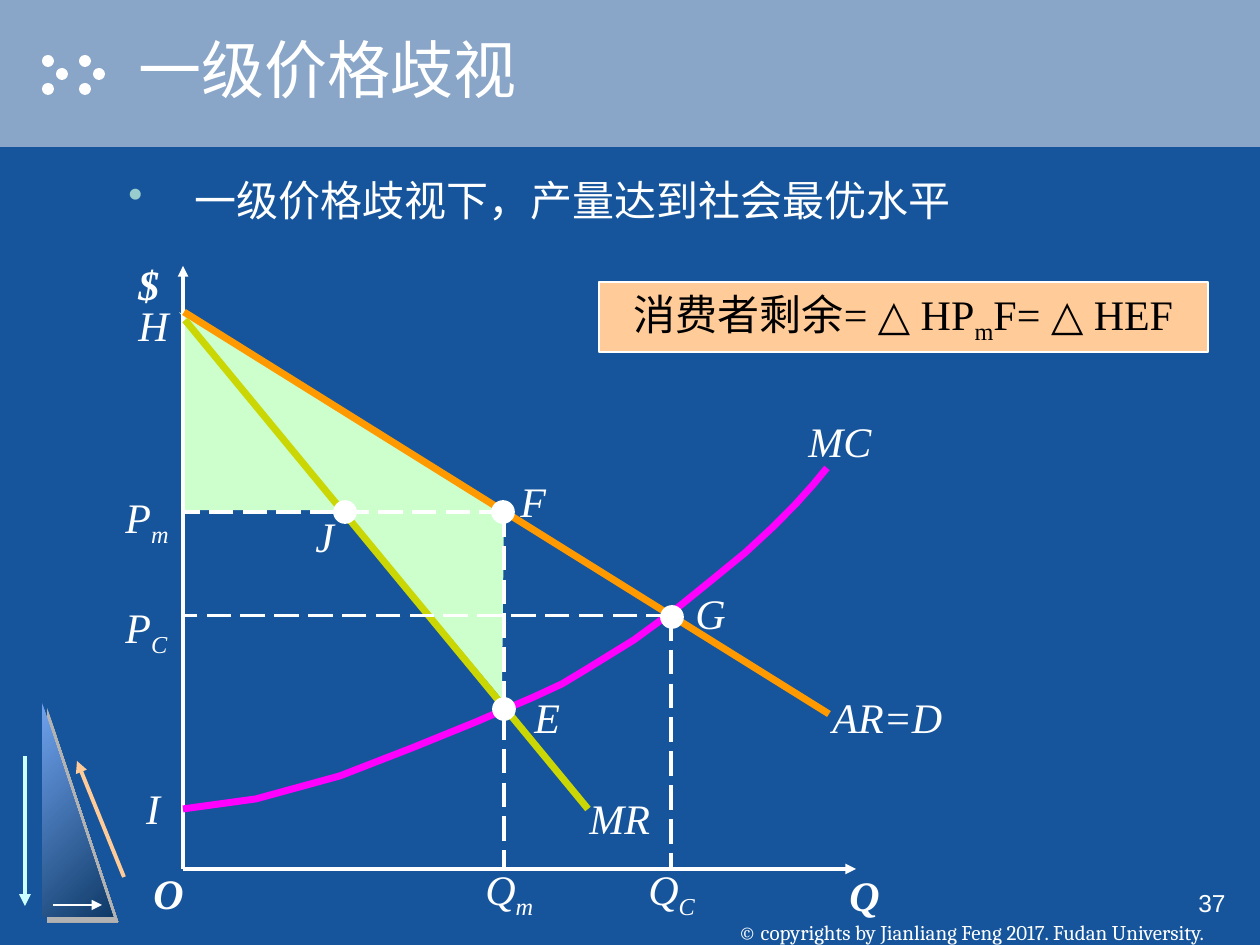
from lxml import etree
from pptx import Presentation
from pptx.dml.color import RGBColor
from pptx.enum.dml import MSO_LINE
from pptx.enum.shapes import MSO_CONNECTOR, MSO_SHAPE
from pptx.enum.text import MSO_ANCHOR, PP_ALIGN
from pptx.oxml.ns import qn
from pptx.util import Emu, Pt

STRAIGHT = MSO_CONNECTOR.STRAIGHT
RECT, OVAL, TRIANGLE = MSO_SHAPE.RECTANGLE, MSO_SHAPE.OVAL, MSO_SHAPE.RIGHT_TRIANGLE
LONG_DASH = MSO_LINE.LONG_DASH
TOP, MIDDLE, BOTTOM = MSO_ANCHOR.TOP, MSO_ANCHOR.MIDDLE, MSO_ANCHOR.BOTTOM
LEFT, CENTER, RIGHT = PP_ALIGN.LEFT, PP_ALIGN.CENTER, PP_ALIGN.RIGHT
SCALE = 914400 / 126
SERIF = "Times New Roman"
WHITE, SURPLUS, PEACH = "FFFFFF", "CCFFCC", "FFCC99"


def px(n):
    """Turn pixels into EMU."""
    return Emu(round(n * SCALE))


def rgb(value):
    """Turn a hex string into a colour."""
    return RGBColor.from_string(value)


def add_shadow(parent, color, dist):
    """Give shape or run properties an offset shadow."""
    effects = etree.SubElement(parent, qn("a:effectLst"))
    shadow = etree.SubElement(effects, qn("a:outerShdw"), dist=str(Pt(dist)), dir="2700000")
    etree.SubElement(shadow, qn("a:srgbClr"), val=color)


def style_shape(sp, fill, line=None):
    """Set a flat fill and an optional thin outline."""
    sp.shadow.inherit = False
    sp.fill.solid()
    sp.fill.fore_color.rgb = rgb(fill)
    if line:
        sp.line.color.rgb = rgb(line)
        sp.line.width = Pt(1)
    else:
        sp.line.fill.background()


def add_shape(s, kind, x, y, w, h, fill, line=None):
    """Add a flat preset shape."""
    sp = s.shapes.add_shape(kind, px(x), px(y), px(w), px(h))
    style_shape(sp, fill, line)
    return sp


def add_line(s, x1, y1, x2, y2, color, width, dash=None, arrow=False):
    """Add a straight line, dashed or with an arrowhead on request."""
    line = s.shapes.add_connector(STRAIGHT, px(x1), px(y1), px(x2), px(y2))
    line.line.color.rgb = rgb(color)
    line.line.width = Pt(width)
    if dash:
        line.line.dash_style = dash
    if arrow:
        etree.SubElement(line.line._get_or_add_ln(), qn("a:tailEnd"), type="triangle")
    etree.SubElement(line._element.spPr, qn("a:effectLst"))


def add_freeform(s, points):
    """Add an outline through points, closed when it returns to its start."""
    closed = points[0] == points[-1]
    builder = s.shapes.build_freeform(*points[0], scale=SCALE)
    builder.add_line_segments(points[1:], close=closed)
    sp = builder.convert_to_shape()
    sp.shadow.inherit = False
    return sp


def write_runs(p, parts, size, color, font, bold=False, italic=False):
    """Write runs in which every second part is a subscript."""
    for i, part in enumerate(parts):
        r = p.add_run()
        r.text = part
        r.font.size, r.font.bold, r.font.italic = Pt(size), bold, italic
        r.font.color.rgb = rgb(color)
        r.font.name = font
        if i % 2:
            r.font._element.set("baseline", "-25000")


def add_text(s, x, y, w, h, parts, size=24, font=SERIF, align=LEFT, anchor=TOP,
             bold=False, italic=False, wrap=False):
    """Add a white text box and return its paragraph."""
    tf = s.shapes.add_textbox(px(x), px(y), px(w), px(h)).text_frame
    tf.word_wrap, tf.vertical_anchor = wrap, anchor
    if anchor == BOTTOM:
        tf.margin_top = tf.margin_bottom = 0
    p = tf.paragraphs[0]
    p.alignment = align
    write_runs(p, parts, size, WHITE, font, bold, italic)
    return p


def add_header(s, x, y, w, h):
    """Draw the title band and its dots, with the title in front."""
    add_shape(s, RECT, x, y, w, h, "89A5C7")
    for left in (42, 79):
        for dx, dy in ((0, 55), (14, 68), (0, 83)):
            add_shape(s, OVAL, x + left + dx, y + dy, 12, 12, WHITE)
    title = s.shapes.title
    s.shapes._spTree.append(title._element)
    title.left, title.top, title.width, title.height = px(x + 126), px(y), px(w - 126), px(136)
    tf = title.text_frame
    tf.text = "一级价格歧视"
    tf.vertical_anchor = MIDDLE
    p = tf.paragraphs[0]
    p.alignment = LEFT
    font = p.runs[0].font
    font.size = Pt(36)
    font.color.rgb = rgb(WHITE)
    add_shadow(font._element, "000000", 1.5)
    font.name = "Arial"


def add_emblem(s, x, y):
    """Draw the shaded triangle with its three arrows."""
    sp = add_shape(s, TRIANGLE, x + 17, y, 71, 214, WHITE)
    sp.fill.gradient()
    sp.fill.gradient_angle = 315
    for stop, color, position in zip(sp.fill.gradient_stops, ("6FA2ED", "0F3A68"), (0, 1)):
        stop.color.rgb = rgb(color)
        stop.position = position
    sp._element.spPr.remove(sp._element.spPr.find(qn("a:effectLst")))
    add_shadow(sp._element.spPr, "B2B2B2", 4.2)
    add_line(s, x, y + 53, x, y + 203, "CCFFFF", 2.25, arrow=True)
    add_line(s, x + 99, y + 174, x + 52, y + 58, PEACH, 2.25, arrow=True)
    add_line(s, x + 28, y + 202, x + 77, y + 202, WHITE, 1.5, arrow=True)


def add_footer(s, x, y, w, h):
    """Write the copyright line and the slide number."""
    add_text(s, x, y, w, h, ["© copyrights by Jianliang Feng 2017. Fudan University."],
             12, "Cambria", CENTER, BOTTOM)
    add_text(s, x + 293, y, 262, h, ["37"], 14, "Arial", RIGHT, wrap=True)


def add_bullet(s, x, y, w, h):
    """Write the bulleted statement."""
    p = add_text(s, x, y, w, h, ["一级价格歧视下，产量达到社会最优水平"], wrap=True)
    pPr = p._p.get_or_add_pPr()
    pPr.set("marL", str(px(66)))
    pPr.set("indent", str(-px(66)))
    color = etree.SubElement(pPr, qn("a:buClr"))
    etree.SubElement(color, qn("a:srgbClr"), val="99CCCC")
    etree.SubElement(pPr, qn("a:buChar"), char="•")


def add_diagram(s, x, y, w, h):
    """Draw the price and quantity diagram, with axes along the box."""
    add_shape(s, TRIANGLE, x + 2, y + 49, 316, 195, SURPLUS)
    wedge = [(-4, 46), (319, 433), (321, 248), (-4, 46)]
    style_shape(add_freeform(s, [(x + a, y + b) for a, b in wedge]), SURPLUS)
    add_line(s, x, y + h, x, y, WHITE, 2, arrow=True)
    add_line(s, x, y + h, x + w, y + h, WHITE, 2, arrow=True)
    add_line(s, x + 1, y + 46, x + 646, y + 448, "FF9900", 4)
    add_line(s, x + 2, y + 54, x + 405, y + 543, "CAD704", 4)
    cost = [(0, 543), (73, 533), (157, 510), (229, 482), (293, 456), (351, 431),
            (379, 418), (404, 403), (451, 374), (492, 344), (529, 314), (562, 287),
            (589, 262), (612, 239), (630, 219), (644, 202)]
    curve = add_freeform(s, [(x + a, y + b) for a, b in cost])
    curve.fill.background()
    curve.line.color.rgb = rgb("FF00FF")
    curve.line.width = Pt(4)
    for a, b in ((488, 350), (321, 246)):
        add_line(s, x + a, y + b, x + a, y + h, WHITE, 1.75, LONG_DASH)
        add_line(s, x + a, y + b, x, y + b, WHITE, 1.75, LONG_DASH)
    for a, b in ((162, 246), (320, 246), (321, 443), (489, 351)):
        add_shape(s, OVAL, x + a - 11, y + b - 11, 22, 22, WHITE, WHITE)
    for text, a, b, width in (("Q", 654, 597, 55), ("O", -42, 595, 55), ("$", -57, -14, 45)):
        add_text(s, x + a, y + b, width, 63, [text], bold=True, italic=True)
    for parts, a, b, width in ((["AR=D"], 637, 419, 135), (["MR"], 394, 520, 86),
                               (["MC"], 613, 143, 88), ("QC", 453, 591, 72),
                               ("PC", -70, 329, 67), ("Pm", -70, 219, 68),
                               ("Qm", 290, 591, 73)):
        add_text(s, x + a, y + b, width, 66, parts, italic=True)
    for text, a, b in (("H", -57, 17), ("I", -51, 500), ("G", 500, 305),
                       ("E", 339, 409), ("F", 325, 193), ("J", 120, 228)):
        p = add_text(s, x + a, y + b, 42, 73, [text], align=CENTER, italic=True)
        p.line_spacing = 1.2


def add_formula(s, x, y, w, h):
    """Draw the consumer surplus formula in its box."""
    sp = add_shape(s, RECT, x, y, w, h, PEACH, WHITE)
    tf = sp.text_frame
    tf.vertical_anchor = TOP
    p = tf.paragraphs[0]
    p.alignment = CENTER
    write_runs(p, ["消费者剩余= △ HP", "m", "F= △ HEF"], 24, "000000", SERIF)


def main():
    """Build and save the slide."""
    prs = Presentation()
    prs.slide_width, prs.slide_height = px(1260), px(945)
    s = prs.slides.add_slide(prs.slide_layouts[5])
    s.background.fill.solid()
    s.background.fill.fore_color.rgb = rgb("16559B")
    add_header(s, 0, 0, 1260, 147)
    add_emblem(s, 25, 703)
    add_footer(s, 683, 882, 577, 63)
    add_bullet(s, 116, 168, 1029, 70)
    add_diagram(s, 183, 266, 673, 603)
    add_formula(s, 599, 282, 609, 70)
    prs.save("out.pptx")


if __name__ == "__main__":
    main()
